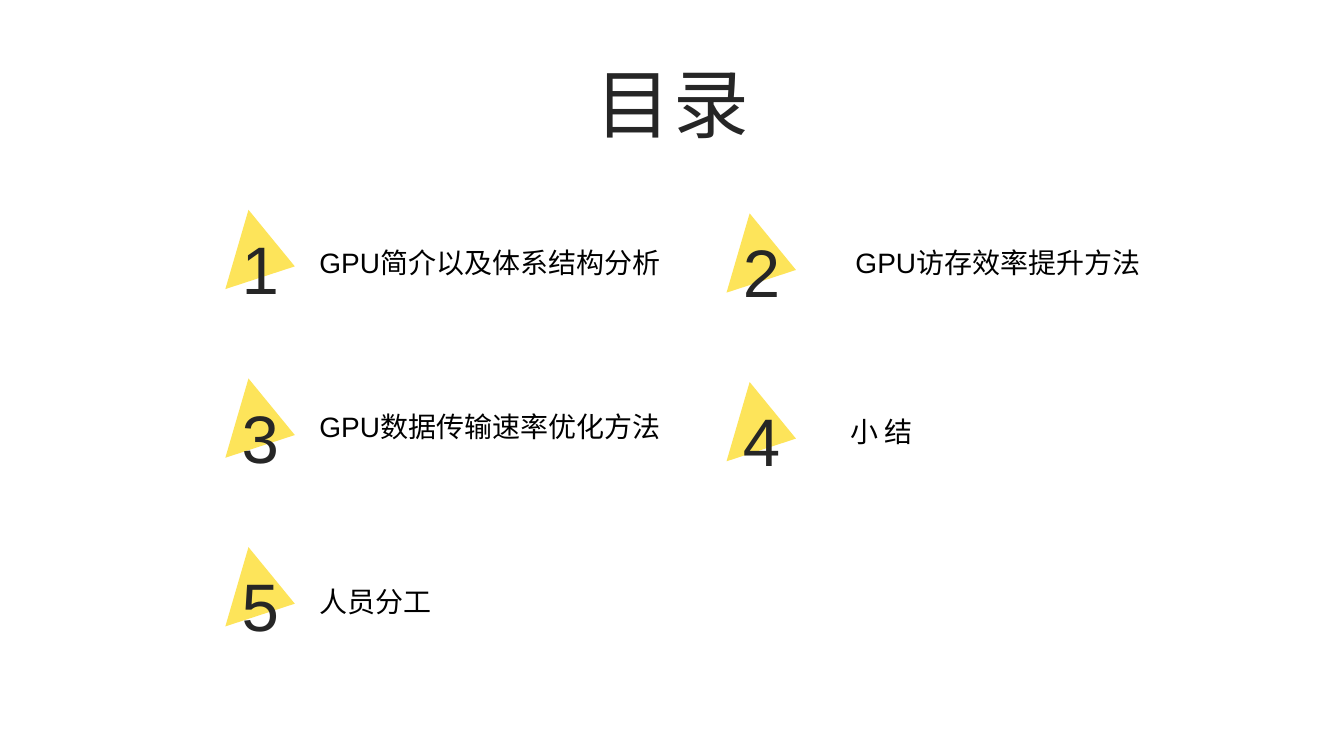
from pptx import Presentation
from pptx.dml.color import RGBColor
from pptx.enum.shapes import MSO_SHAPE
from pptx.enum.text import MSO_ANCHOR, MSO_AUTO_SIZE, PP_ALIGN
from pptx.util import Cm, Pt

TRIANGLE = MSO_SHAPE.ISOSCELES_TRIANGLE
TOP, BOTTOM = MSO_ANCHOR.TOP, MSO_ANCHOR.BOTTOM
LEFT, CENTER = PP_ALIGN.LEFT, PP_ALIGN.CENTER
FIT_SHAPE = MSO_AUTO_SIZE.SHAPE_TO_FIT_TEXT

TITLE = "目录"
# entry text, label left, label top, label width
ENTRIES = [
    ("GPU简介以及体系结构分析", 7.8, 6.05, 9.68),
    ("GPU访存效率提升方法", 21.31, 6.05, 10.95),
    ("GPU数据传输速率优化方法", 7.8, 10.19, 9.68),
    ("小 结", 21.18, 10.31, 9.68),
    ("人员分工", 7.8, 14.61, 9.68),
]
COLORS = {"marker": "FDE45A", "heading": "262626", "entry": "000000"}
FONT = "Arial"
COLUMNS = [(5.66, 5.74), (18.29, 5.83)]
ROW_STEP = 4.25
MARKER_WIDTH, MARKER_HEIGHT, MARKER_ANGLE = 2.08, 1.52, 106.3


def add_text(slide, text, box, size, color, align=LEFT, anchor=TOP):
    """Add a one-line text box and return it."""
    textbox = slide.shapes.add_textbox(*map(Cm, box))
    frame = textbox.text_frame
    frame.word_wrap = True
    frame.vertical_anchor = anchor
    paragraph = frame.paragraphs[0]
    paragraph.alignment = align
    run = paragraph.add_run()
    run.text = text
    run.font.name = FONT
    run.font.size = Pt(size)
    run.font.color.rgb = RGBColor.from_string(COLORS[color])
    return textbox


def add_marker(slide, number, left, top):
    """Add a tilted triangle with its number on top."""
    marker = slide.shapes.add_shape(
        TRIANGLE, Cm(left), Cm(top), Cm(MARKER_WIDTH), Cm(MARKER_HEIGHT))
    marker.rotation = MARKER_ANGLE
    marker.shadow.inherit = False
    marker.fill.solid()
    marker.fill.fore_color.rgb = RGBColor.from_string(COLORS["marker"])
    marker.line.fill.background()
    add_text(slide, str(number), (left + 0.18, top - 0.14, 1.75, 2.31),
             48, "heading")


def main():
    """Build the contents slide."""
    deck = Presentation()
    deck.slide_width, deck.slide_height = Cm(33.87), Cm(19.05)
    slide = deck.slides.add_slide(deck.slide_layouts[6])

    heading = add_text(slide, TITLE, (14.73, 1.27, 4.42, 2.57),
                       54, "heading", CENTER, BOTTOM)
    heading_run = heading.text_frame.paragraphs[0].runs[0]
    heading_run.font._element.set("spc", "150")

    for index, (entry, label_left, label_top, label_width) in enumerate(ENTRIES):
        row, column = divmod(index, len(COLUMNS))
        left, first_top = COLUMNS[column]
        add_marker(slide, index + 1, left, first_top + row * ROW_STEP)
        label = add_text(slide, entry, (label_left, label_top, label_width, 1.11),
                         20, "entry")
        label.text_frame.auto_size = FIT_SHAPE

    deck.save("out.pptx")


if __name__ == "__main__":
    main()
